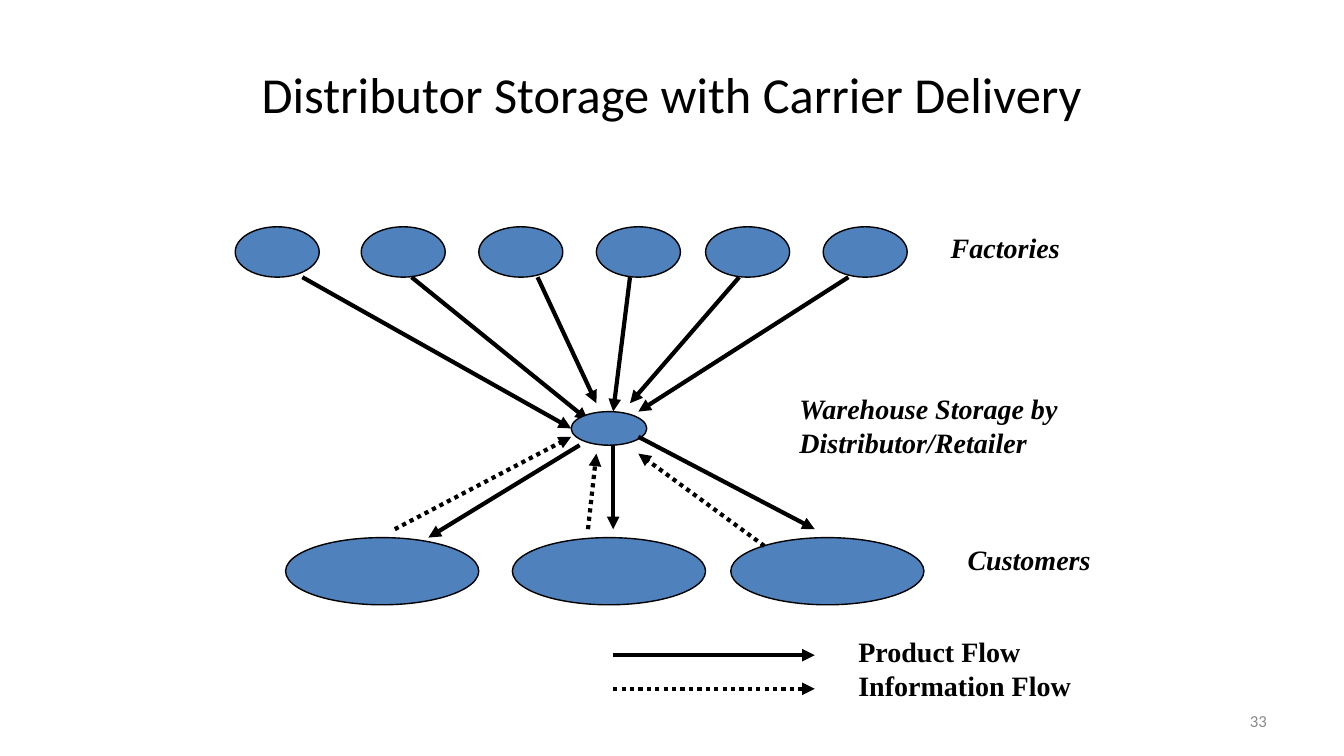
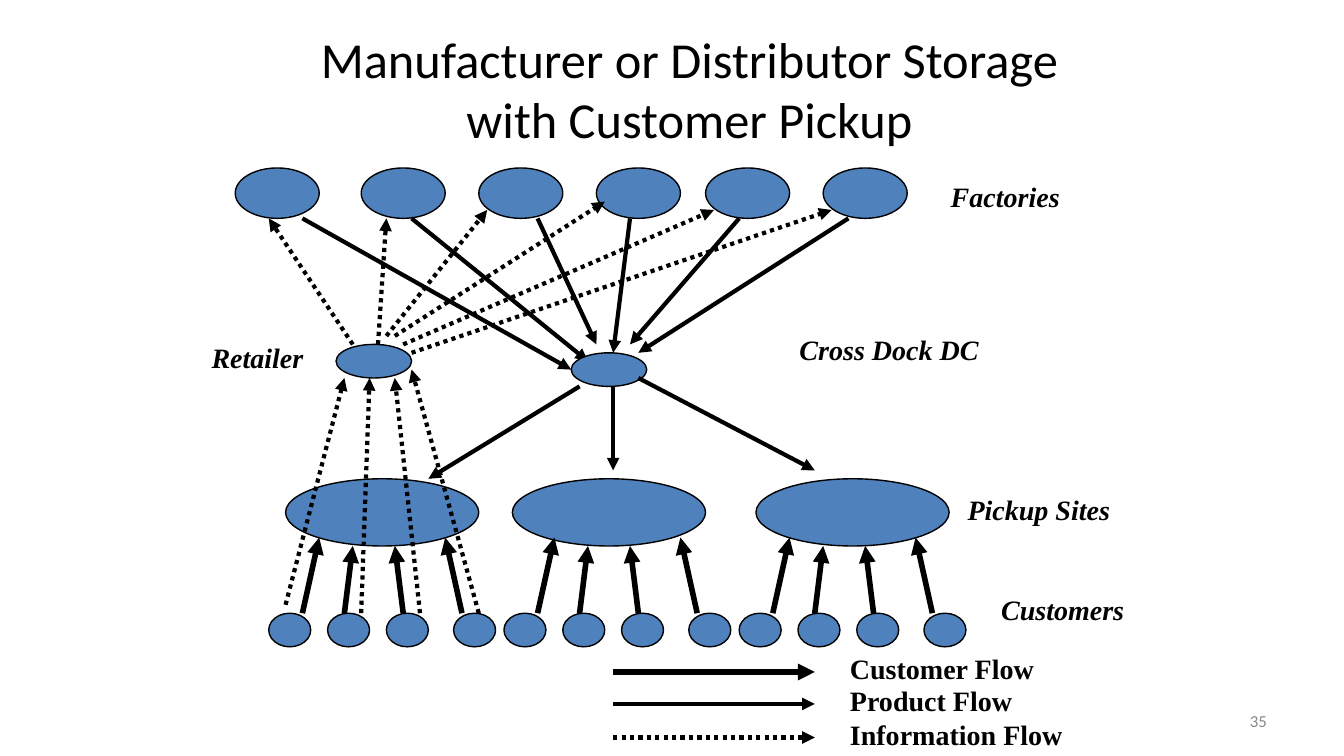
import dataclasses

import lxml.etree
import pptx
import pptx.dml.color
import pptx.enum.dml
import pptx.enum.shapes
import pptx.enum.text
import pptx.oxml.ns
import pptx.util

COLUMNS, ROWS = 160, 90  # grid cells are 1/12 inch square
CELL = pptx.util.Inches(1) // 12
ALIGN = pptx.enum.text.PP_ALIGN
ANCHOR = pptx.enum.text.MSO_ANCHOR


@dataclasses.dataclass(frozen=True)
class Theme:
    ink: str = "000000"
    node_fill: str = "4F81BD"
    number_color: str = "898989"
    title_font: str = "Calibri"
    label_font: str = "Times New Roman"
    title_size: float = 36
    label_size: float = 20
    number_size: float = 12
    outline: float = 1
    flow: float = 3
    heavy_flow: float = 4


def cells(*lengths):
    return [round(length * CELL) for length in lengths]


def rgb(value):
    return pptx.dml.color.RGBColor.from_string(value)


class Deck:
    """Holds the theme and the slide being drawn; lengths are grid cells."""

    def __init__(self, theme):
        self.theme = theme
        self.presentation = pptx.Presentation()
        self.presentation.slide_width, self.presentation.slide_height = cells(COLUMNS, ROWS)
        self.slide = None

    def start_slide(self, title, title_box, number):
        theme = self.theme
        self.slide = self.presentation.slides.add_slide(self.presentation.slide_layouts[6])
        self.text(number, (114.7, 83.4, 37.3, 4.8), theme.title_font, theme.number_size,
                  theme.number_color, ALIGN.RIGHT, ANCHOR.MIDDLE)
        self.text(title, title_box, theme.title_font, theme.title_size,
                  theme.ink, ALIGN.CENTER, ANCHOR.MIDDLE)

    def text(self, words, box, font_name, size, color, align=ALIGN.LEFT,
             anchor=ANCHOR.TOP, bold=False, italic=False):
        frame = self.slide.shapes.add_textbox(*cells(*box)).text_frame
        frame.word_wrap = True
        frame.vertical_anchor = anchor
        paragraph = frame.paragraphs[0]
        paragraph.text = words
        paragraph.alignment = align
        font = paragraph.font
        font.name, font.size = font_name, pptx.util.Pt(size)
        font.bold, font.italic = bold, italic
        font.color.rgb = rgb(color)

    def label(self, words, left, top, width, lines=1, italic=True):
        self.text(words, (left, top, width, 1.2 + 4 * lines), self.theme.label_font,
                  self.theme.label_size, self.theme.ink, bold=True, italic=italic)

    def node(self, left, top, width, height):
        shape = self.slide.shapes.add_shape(pptx.enum.shapes.MSO_SHAPE.OVAL,
                                            *cells(left, top, width, height))
        shape.shadow.inherit = False
        shape.fill.solid()
        shape.fill.fore_color.rgb = rgb(self.theme.node_fill)
        shape.line.color.rgb = rgb(self.theme.ink)
        shape.line.width = pptx.util.Pt(self.theme.outline)

    def arrow(self, start, end, dotted=False, heavy=False):
        connector = self.slide.shapes.add_connector(
            pptx.enum.shapes.MSO_CONNECTOR.STRAIGHT, *cells(*start, *end))
        line = connector.line
        line.color.rgb = rgb(self.theme.ink)
        line.width = pptx.util.Pt(self.theme.heavy_flow if heavy else self.theme.flow)
        if dotted:
            line.dash_style = pptx.enum.dml.MSO_LINE.ROUND_DOT
        # Arrowhead, and no shadow
        qualified = pptx.oxml.ns.qn
        properties = connector._element.spPr
        outline = properties.find(qualified("a:ln"))
        lxml.etree.SubElement(outline, qualified("a:tailEnd"), type="triangle")
        lxml.etree.SubElement(properties, qualified("a:effectLst"))

    def dotted_arrows(self, *routes):
        for start, end in routes:
            self.arrow(start, end, dotted=True)

    def legend_row(self, words, y, label_left, label_width, **style):
        self.arrow((73, y), (97, y), **style)
        self.label(words, label_left, y - 3, label_width, italic=False)

    def network(self, top, destination_lefts):
        """Factories feed one warehouse, which feeds three destinations."""
        for left in (28, 43, 57, 71, 84, 98):
            self.node(left, top, 10, 6)
        for left in destination_lefts:
            self.node(left, top + 37, 23, 8)
        for start, end, drop in ((36, 68, 24), (49, 70, 23), (64, 71, 21),
                                 (75, 73, 22), (88, 75, 21), (101, 76, 22)):
            self.arrow((start, top + 6), (end, top + drop))
        self.node(68, top + 22, 9, 4)
        for start, leave, end, arrive in ((69, 26, 51, 37), (73, 26, 73, 36), (76, 25, 97, 36)):
            self.arrow((start, top + leave), (end, top + arrive))

    def customer_group(self, left, top):
        for offset in (0, 7, 14, 22):
            self.node(left + offset, top, 5, 4)
        for start, end, rise in ((4, 6, 9), (9, 10, 8), (16, 15, 8), (23, 21, 9)):
            self.arrow((left + start, top), (left + end, top - rise), heavy=True)


def carrier_delivery(deck):
    deck.start_slide("Distributor Storage with Carrier Delivery", (8, 3.6, 144, 15), "33")
    deck.network(27, (34, 61, 87))
    deck.dotted_arrows(((47, 63), (68, 52)), ((70, 63), (71, 54)), ((91, 65), (76, 54)))

    # Tier names
    deck.label("Factories", 112, 26.8, 22)
    deck.label("Warehouse Storage by Distributor/Retailer", 94, 46, 36, lines=2)
    deck.label("Customers", 114, 64, 22)

    # Legend
    deck.legend_row("Product Flow", 78, 101, 22)
    deck.legend_row("Information Flow", 82, 101, 28, dotted=True)


def customer_pickup(deck):
    deck.start_slide("Manufacturer or Distributor Storage with Customer Pickup",
                     (31, 3, 102.2, 15), "35")
    deck.network(20, (34, 61, 90))
    for left in (32, 60, 88):
        deck.customer_group(left, 73)

    # Retailer: orders come up from customers and go on to factories
    deck.node(40, 41, 9, 4)
    deck.dotted_arrows(
        ((42, 41), (32, 26)), ((45, 41), (46, 26)), ((46, 40), (58, 25)),
        ((47, 40), (72, 24)), ((48, 41), (85, 25)), ((49, 42), (99, 25)))
    deck.dotted_arrows(
        ((34, 72), (41, 45)), ((43, 73), (44, 45)),
        ((50, 73), (47, 45)), ((57, 73), (49, 44)))

    # Tier names
    deck.label("Factories", 112, 20.8, 22)
    deck.label("Retailer", 24, 40, 14)
    deck.label("Cross Dock DC", 94, 39, 36)
    deck.label("Pickup Sites", 114, 58, 22)
    deck.label("Customers", 118, 70, 18)

    # Legend
    deck.legend_row("Customer Flow", 80, 100, 29, heavy=True)
    deck.legend_row("Product Flow", 83.8, 100, 22)
    deck.legend_row("Information Flow", 87.8, 100, 28, dotted=True)


def main():
    deck = Deck(Theme())
    carrier_delivery(deck)
    customer_pickup(deck)
    deck.presentation.save("out.pptx")


if __name__ == "__main__":
    main()
